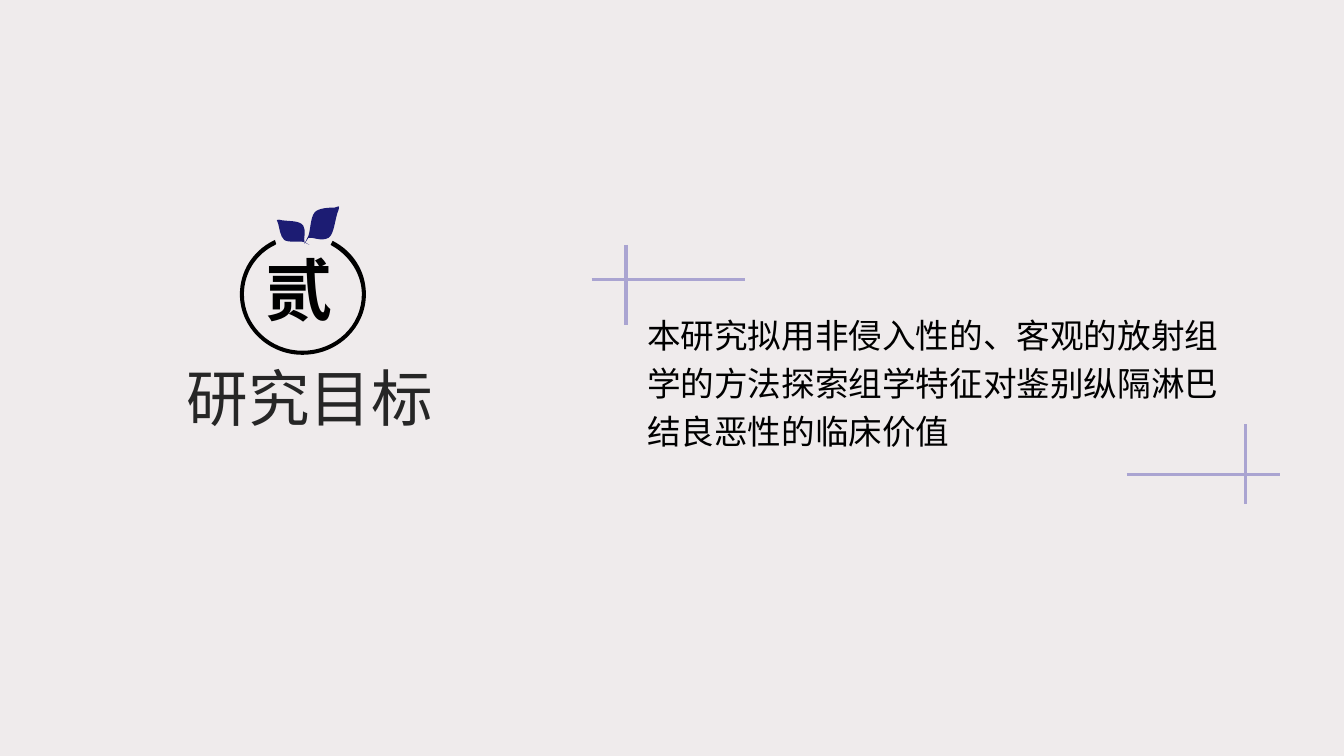
from lxml import etree
from pptx import Presentation
from pptx.dml.color import RGBColor
from pptx.enum.shapes import MSO_CONNECTOR
from pptx.enum.text import MSO_ANCHOR, MSO_AUTO_SIZE, PP_ALIGN
from pptx.oxml.ns import qn
from pptx.util import Pt

STRAIGHT = MSO_CONNECTOR.STRAIGHT
TOP = MSO_ANCHOR.TOP
NO_AUTOFIT = MSO_AUTO_SIZE.NONE
LEFT, CENTER = PP_ALIGN.LEFT, PP_ALIGN.CENTER

PX = 9144
CJK_FONT = "Noto Sans CJK SC"
COLORS = {
    "background": "EFEBEC",
    "title": "262626",
    "text": "000000",
    "cross": "AAA4D1",
    "leaf": "1C1C73",
}

LEFT_LEAF = [
    [(307, 243)],
    [(301, 240)],
    [(297, 239), (286, 241), (282, 238)],
    [(278, 235), (277, 225), (276, 222)],
    [(275, 218), (273, 218), (277, 218)],
    [(285, 220), (297, 218), (301, 224)],
    [(304, 229), (301, 237), (302, 240)],
]
RIGHT_LEAF = [
    [(302, 242)],
    [(306, 234)],
    [(308, 229), (308, 216), (312, 211)],
    [(316, 206), (328, 206), (332, 206)],
    [(336, 205), (337, 203), (336, 208)],
    [(332, 217), (332, 232), (326, 236)],
    [(319, 240), (310, 235), (306, 236)],
]
RING = [
    [(273, 238)],
    [(271, 239)],
    [(251, 249), (238, 269), (238, 292)],
    [(238, 325), (266, 352), (300, 352)],
    [(335, 352), (363, 325), (363, 292)],
    [(363, 269), (350, 249), (330, 239)],
    [(328, 243)],
    [(333, 246)],
    [(348, 256), (359, 273), (359, 292)],
    [(359, 323), (333, 348), (300, 348)],
    [(268, 348), (242, 323), (242, 292)],
    [(242, 271), (254, 252), (273, 243)],
    [(274, 242)],
    [(273, 241), (273, 240), (273, 239)],
]


def emu(px):
    """Turn pixels into EMU."""
    return px * PX


def color(name):
    """Look up a colour of the palette."""
    return RGBColor.from_string(COLORS[name])


def write_text(shape, box, text, size, ink, latin=CJK_FONT, bold=False,
               align=LEFT, spacing=1.0):
    """Place a text shape and fill it with one formatted paragraph."""
    shape.left, shape.top, shape.width, shape.height = map(emu, box)
    frame = shape.text_frame
    frame.word_wrap = True
    frame.auto_size = NO_AUTOFIT
    frame.vertical_anchor = TOP
    frame.text = text
    paragraph = frame.paragraphs[0]
    paragraph.alignment = align
    paragraph.line_spacing = spacing
    paragraph.space_before = Pt(0)
    font = paragraph.font
    font.size, font.bold, font.name = Pt(size), bold, latin
    font.color.rgb = color(ink)
    properties = paragraph._p.get_or_add_pPr()
    properties.set("marL", "0")
    properties.set("indent", "0")
    defaults = properties.find(qn("a:defRPr"))
    defaults.addprevious(etree.Element(qn("a:buNone")))
    etree.SubElement(defaults, qn("a:ea"), typeface=CJK_FONT)


def add_line(cross, x1, y1, x2, y2):
    """Draw one stroke of a corner cross."""
    stroke = cross.shapes.add_connector(STRAIGHT, *map(emu, (x1, y1, x2, y2)))
    stroke.line.color.rgb = color("cross")
    stroke.line.width = Pt(2.25)
    etree.SubElement(stroke._element.spPr, qn("a:effectLst"))


def add_cross(slide, left, top, x, y):
    """Draw a corner cross whose strokes meet at x, y."""
    cross = slide.shapes.add_group_shape()
    add_line(cross, left, y, left + 152, y)
    add_line(cross, x, top, x, top + 79)


def bend_segments(outline, segments):
    """Turn the straight segments that have control points into curves."""
    lines = outline._element.findall(".//" + qn("a:lnTo"))
    for line, points in zip(lines, segments):
        if len(points) == 3:
            curve = etree.Element(qn("a:cubicBezTo"))
            for x, y in points:
                etree.SubElement(curve, qn("a:pt"), x=str(emu(x) - outline.left),
                                 y=str(emu(y) - outline.top))
            line.getparent().replace(line, curve)


def add_outline(emblem, segments, ink):
    """Draw a closed, filled outline of lines and curves."""
    start, *ends = [tuple(map(emu, points[-1])) for points in segments]
    builder = emblem.shapes.build_freeform(*start, scale=1.0)
    builder.add_line_segments(ends, close=True)
    outline = builder.convert_to_shape()
    bend_segments(outline, segments[1:])
    outline.shadow.inherit = False
    outline.fill.solid()
    outline.fill.fore_color.rgb = color(ink)
    outline.line.fill.background()


def add_emblem(slide):
    """Draw the fruit-like section number."""
    emblem = slide.shapes.add_group_shape()
    add_outline(emblem, LEFT_LEAF, "leaf")
    add_outline(emblem, RIGHT_LEAF, "leaf")
    add_outline(emblem, RING, "text")
    number_box = (254, 241, 100, 91)
    number = emblem.shapes.add_textbox(*map(emu, number_box))
    write_text(number, number_box, "贰", 48, "text", bold=True)


def main():
    """Build and save the section slide."""
    deck = Presentation()
    deck.slide_height = emu(750)
    deck.slide_width = deck.slide_height * 16 // 9
    slide = deck.slides.add_slide(deck.slide_layouts[1])
    slide.background.fill.solid()
    slide.background.fill.fore_color.rgb = color("background")

    title, goal = slide.placeholders
    write_text(title, (28, 352, 559, 84), "研究目标", 44, "title", align=CENTER)
    add_cross(slide, 587, 243, 621, 277)
    add_cross(slide, 1118, 421, 1236, 471)
    add_emblem(slide)
    write_text(
        goal, (632, 299, 611, 201),
        "本研究拟用非侵入性的、客观的放射组学的方法探索组学特征对鉴别纵隔淋巴结良恶性的临床价值",
        24, "text", latin="Arial", spacing=1.2,
    )
    deck.save("out.pptx")


if __name__ == "__main__":
    main()
